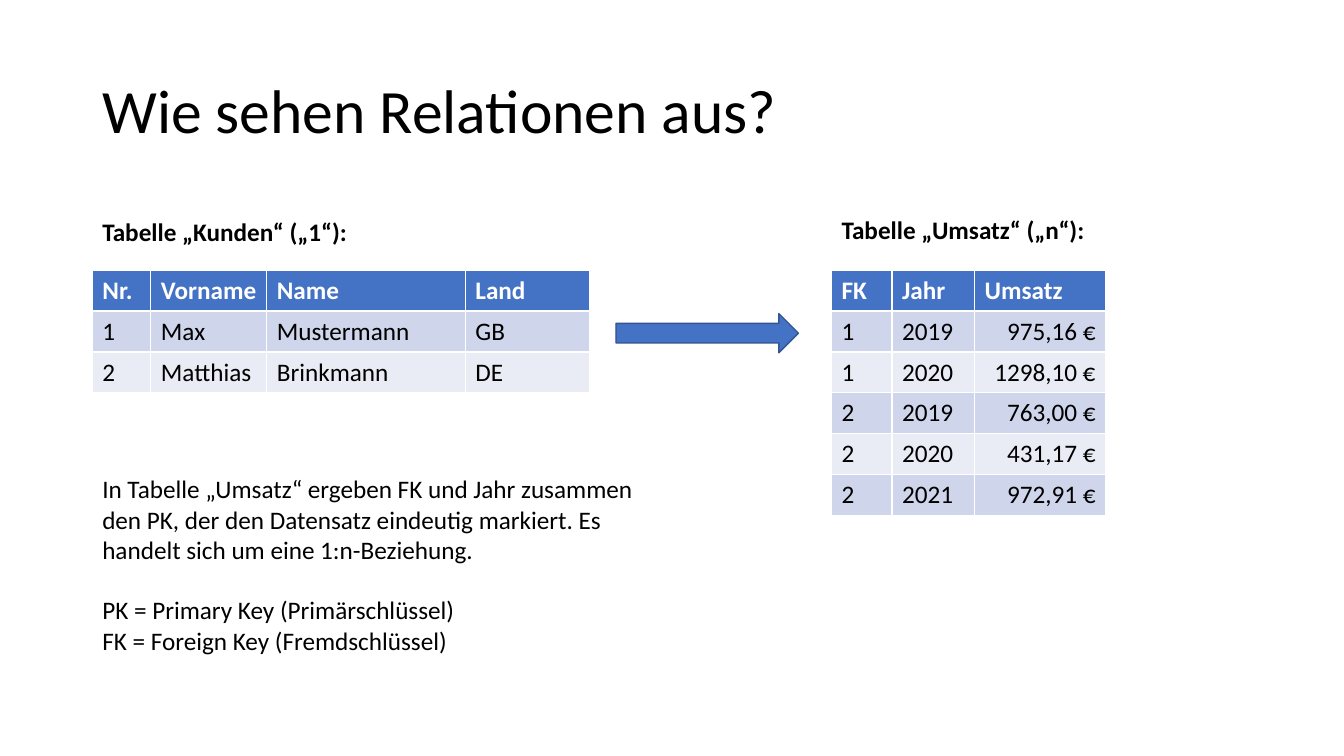
import pptx
import pptx.util
import pptx.dml.color
import pptx.enum.shapes
import pptx.enum.text
from dataclasses import dataclass

Pt = pptx.util.Pt
Align = pptx.enum.text.PP_ALIGN
Anchor = pptx.enum.text.MSO_ANCHOR
AutoSize = pptx.enum.text.MSO_AUTO_SIZE


@dataclass(frozen=True)
class Theme:
    font: str = "Calibri"
    title_size: float = 44
    body_size: float = 18
    text: str = "000000"
    header_text: str = "FFFFFF"
    accent: str = "4472C4"
    outline: str = "325491"
    bands: tuple = ("CFD5EA", "E9EBF5")


THEME = Theme()
TITLE = "Wie sehen Relationen aus?"
TABLES = [
    {
        "label": "Tabelle „Kunden“ („1“):",
        "label_box": (66, 151.2, 191, 29),
        "widths": (41.8, 82.8, 141.8, 88.6),
        "right_aligned": (),
        "rows": [
            ("Nr.", "Vorname", "Name", "Land"),
            ("1", "Max", "Mustermann", "GB"),
            ("2", "Matthias", "Brinkmann", "DE"),
        ],
    },
    {
        "label": "Tabelle „Umsatz“ („n“):",
        "label_box": (594, 149.8, 190, 29),
        "widths": (43.2, 59, 93.6),
        "right_aligned": (2,),
        "rows": [
            ("FK", "Jahr", "Umsatz"),
            ("1", "2019", "975,16 €"),
            ("1", "2020", "1298,10 €"),
            ("2", "2019", "763,00 €"),
            ("2", "2020", "431,17 €"),
            ("2", "2021", "972,91 €"),
        ],
    },
]
NOTES = [
    "In Tabelle „Umsatz“ ergeben FK und Jahr zusammen den PK, der den Datensatz "
    "eindeutig markiert. Es handelt sich um eine 1:n-Beziehung.",
    "PK = Primary Key (Primärschlüssel)",
    "FK = Foreign Key (Fremdschlüssel)",
]

TITLE_BOX = (66, 28.75, 828, 104.4)
NOTES_BOX = (66, 334.8, 404, 138.2)
ARROW_BOX = (440, 224, 130.3, 28)
TABLE_TOP = 193
ROW_HEIGHT = 29.2
KEY_GAP = 21.6


def points(values):
    return [Pt(value) for value in values]


def color(value):
    return pptx.dml.color.RGBColor.from_string(value)


def fill(target, value):
    target.fill.solid()
    target.fill.fore_color.rgb = color(value)


def style_text(frame, size=THEME.body_size, value=THEME.text, bold=False):
    for para in frame.paragraphs:
        for span in para.runs:
            span.font.name = THEME.font
            span.font.size = Pt(size)
            span.font.bold = bold
            span.font.color.rgb = color(value)


def add_title(slide):
    title = slide.shapes.title
    title.left, title.top, title.width, title.height = points(TITLE_BOX)
    frame = title.text_frame
    frame.text = TITLE
    frame.vertical_anchor = Anchor.MIDDLE
    frame.paragraphs[0].alignment = Align.LEFT
    frame.paragraphs[0].line_spacing = 0.9
    style_text(frame, THEME.title_size)


def add_text(slide, box, lines, bold=False, wrap=True):
    frame = slide.shapes.add_textbox(*points(box)).text_frame
    frame.word_wrap = wrap
    frame.auto_size = AutoSize.SHAPE_TO_FIT_TEXT
    frame.text = "\n".join(lines)
    style_text(frame, bold=bold)
    return frame


def add_table(slide, content):
    rows, widths = content["rows"], content["widths"]
    left = content["label_box"][0]
    box = points((left, TABLE_TOP, sum(widths), ROW_HEIGHT * len(rows)))
    table = slide.shapes.add_table(len(rows), len(widths), *box).table
    for column, width in zip(table.columns, widths):
        column.width = Pt(width)
    for row_index, row in enumerate(rows):
        table.rows[row_index].height = Pt(ROW_HEIGHT)
        header = row_index == 0
        for column_index, text in enumerate(row):
            cell = table.cell(row_index, column_index)
            cell.text_frame.text = text
            fill(cell, THEME.accent if header else THEME.bands[(row_index - 1) % 2])
            style_text(cell.text_frame, bold=header,
                       value=THEME.header_text if header else THEME.text)
            if not header and column_index in content["right_aligned"]:
                cell.text_frame.paragraphs[0].alignment = Align.RIGHT


def add_arrow(slide):
    kind = pptx.enum.shapes.MSO_SHAPE.RIGHT_ARROW
    arrow = slide.shapes.add_shape(kind, *points(ARROW_BOX))
    arrow.shadow.inherit = False
    fill(arrow, THEME.accent)
    arrow.line.color.rgb = color(THEME.outline)
    arrow.line.width = Pt(1)


def main():
    deck = pptx.Presentation()
    deck.slide_width, deck.slide_height = Pt(960), Pt(540)
    slide = deck.slides.add_slide(deck.slide_layouts.get_by_name("Title Only"))
    add_title(slide)
    for content in TABLES:
        add_table(slide, content)
    add_arrow(slide)
    notes = add_text(slide, NOTES_BOX, NOTES)
    notes.paragraphs[1].space_before = Pt(KEY_GAP)
    for content in TABLES:
        add_text(slide, content["label_box"], [content["label"]], bold=True, wrap=False)
    deck.save("out.pptx")


if __name__ == "__main__":
    main()
